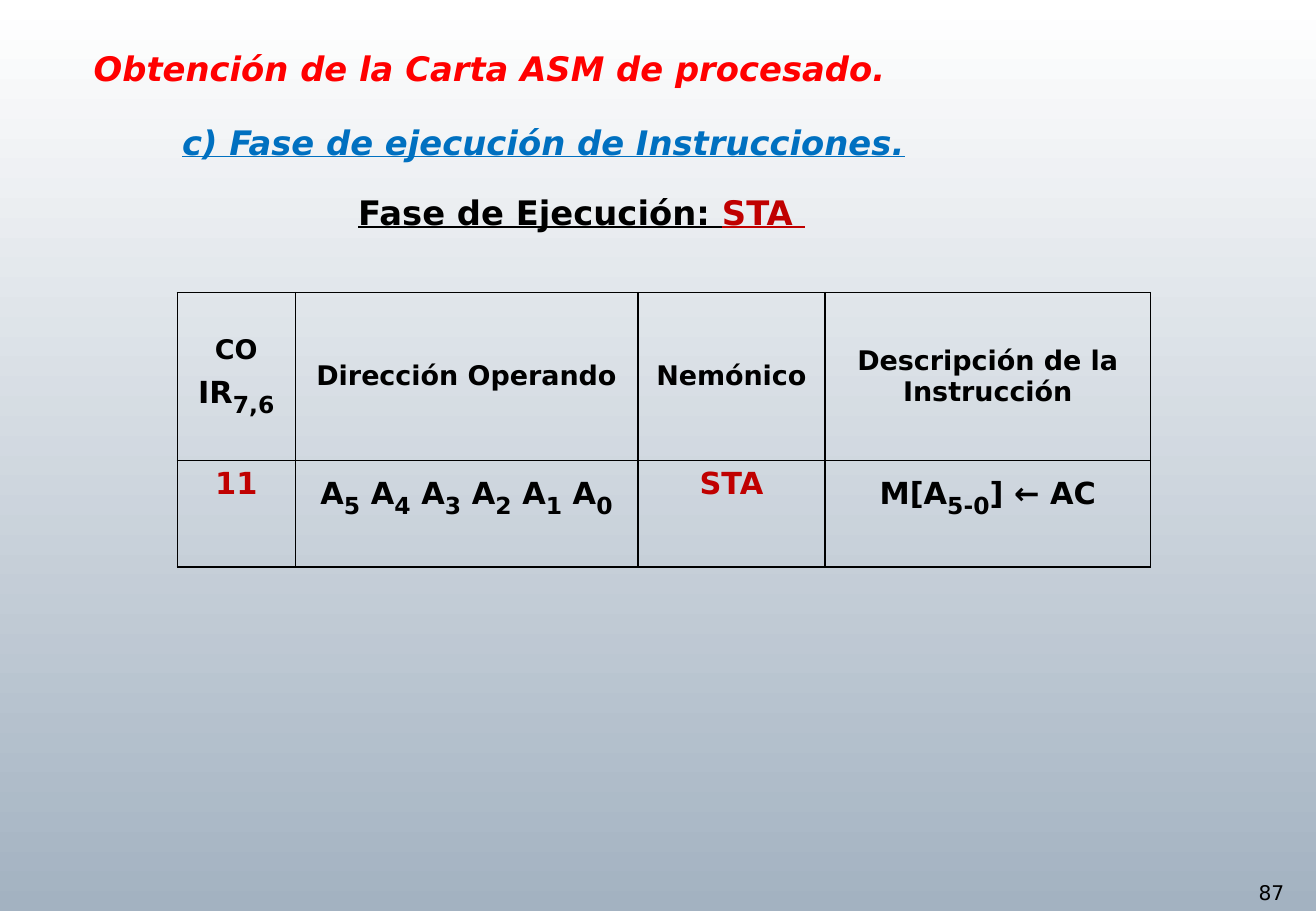
"""Build the slide on the execution phase of the STA instruction."""
from dataclasses import dataclass

from lxml import etree
from pptx import Presentation
from pptx.dml.color import RGBColor
from pptx.enum import text as txt
from pptx.oxml import ns
from pptx.util import Inches, Pt


@dataclass(frozen=True)
class Theme:
    font: str = "DejaVu Sans"
    black: str = "000000"
    red: str = "FF0000"
    blue: str = "0070C0"
    crimson: str = "C00000"
    sky_top: str = "FFFFFF"
    sky_bottom: str = "A3B2C1"
    heading: int = 20
    label: int = 16
    code: int = 18
    subscript: int = 24
    page: int = 12


THEME = Theme()


@dataclass(frozen=True)
class Run:
    text: str
    size: int = THEME.code
    color: str = THEME.black
    bold: bool = True
    italic: bool = False
    underline: bool = False
    baseline: int = 0


@dataclass(frozen=True)
class Box:
    left: float
    top: float
    width: float
    height: float
    runs: list[Run]
    wrap: bool = False

    def frame(self) -> tuple:
        return tuple(map(Inches, (self.left, self.top, self.width, self.height)))


def sub(digits: str) -> Run:
    """Return a subscript run."""
    return Run(digits, THEME.subscript, baseline=-25000)


def label(words: str) -> list[list[Run]]:
    """Return a column heading of one paragraph."""
    return [[Run(words, THEME.label)]]


def write(paragraph, runs: list[Run], align=txt.PP_ALIGN.LEFT) -> None:
    """Add formatted runs to a paragraph."""
    paragraph.alignment = align
    for item in runs:
        run = paragraph.add_run()
        run.text = item.text
        font = run.font
        font.name, font.size = THEME.font, Pt(item.size)
        font.bold, font.italic = item.bold, item.italic
        font.underline = item.underline
        font.color.rgb = RGBColor.from_string(item.color)
        if item.baseline:
            font._element.set("baseline", str(item.baseline))


def fill_frame(shape, box: Box) -> None:
    """Place a text shape and write its line."""
    shape.left, shape.top, shape.width, shape.height = box.frame()
    frame = shape.text_frame
    frame.word_wrap = box.wrap
    frame.auto_size = txt.MSO_AUTO_SIZE.SHAPE_TO_FIT_TEXT
    frame.vertical_anchor = txt.MSO_ANCHOR.TOP
    write(frame.paragraphs[0], box.runs)


def draw_borders(cell) -> None:
    """Outline a cell with thin black lines."""
    properties = cell._tc.get_or_add_tcPr()
    for index, side in enumerate(("lnL", "lnR", "lnT", "lnB")):
        line = etree.Element(ns.qn(f"a:{side}"), w=str(Pt(1)))
        solid = etree.SubElement(line, ns.qn("a:solidFill"))
        etree.SubElement(solid, ns.qn("a:srgbClr"), val=THEME.black)
        properties.insert(index, line)


def fill_cell(cell, paragraphs: list[list[Run]], anchor) -> None:
    """Format a table cell and write its paragraphs."""
    cell.fill.background()
    cell.vertical_anchor = anchor
    draw_borders(cell)
    frame = cell.text_frame
    for index, runs in enumerate(paragraphs):
        paragraph = frame.add_paragraph() if index else frame.paragraphs[0]
        write(paragraph, runs, txt.PP_ALIGN.CENTER)


def add_instruction_table(slide) -> None:
    """Add the table that describes the STA instruction."""
    widths, heights = (0.97, 2.82, 1.54, 2.68), (1.38, 0.88)
    address = [run for bit in range(5, -1, -1)
               for run in (Run("A" if bit == 5 else " A"), sub(str(bit)))]
    headings = [
        [[Run("CO", THEME.label)], [Run("IR"), sub("7,6")]],
        label("Dirección Operando"),
        label("Nemónico"),
        label("Descripción de la Instrucción"),
    ]
    instruction = [
        [[Run("11", color=THEME.crimson)]],
        [address],
        [[Run("STA", color=THEME.crimson)]],
        [[Run("M[A"), sub("5-0"), Run("] ← AC")]],
    ]
    table = slide.shapes.add_table(
        len(heights), len(widths), Inches(1.46), Inches(2.41),
        Inches(sum(widths)), Inches(sum(heights))).table
    table.first_row = table.horz_banding = False
    for column, width in zip(table.columns, widths):
        column.width = Inches(width)
    anchors = (txt.MSO_ANCHOR.MIDDLE, txt.MSO_ANCHOR.TOP)
    for row, height, contents, anchor in zip(
            table.rows, heights, (headings, instruction), anchors):
        row.height = Inches(height)
        for cell, paragraphs in zip(row.cells, contents):
            fill_cell(cell, paragraphs, anchor)


def paint_background(slide) -> None:
    """Shade the slide from top to bottom."""
    fill = slide.background.fill
    fill.gradient()
    fill.gradient_angle = 270
    for stop, color in zip(fill.gradient_stops, (THEME.sky_top, THEME.sky_bottom)):
        stop.color.rgb = RGBColor.from_string(color)


def main() -> None:
    """Assemble and save the slide."""
    deck = Presentation()
    deck.slide_width, deck.slide_height = Inches(10.83), Inches(7.5)
    slide = deck.slides.add_slide(deck.slide_layouts[5])
    paint_background(slide)

    heading = Box(0.67, 0.34, 7.98, 0.44, [
        Run("Obtención de la Carta ASM de procesado.", THEME.heading,
            THEME.red, italic=True)], wrap=True)
    section = Box(1.4, 0.95, 6.64, 0.44, [
        Run("c) Fase de ejecución de Instrucciones.", THEME.heading,
            THEME.blue, italic=True, underline=True)], wrap=True)
    phase = Box(2.85, 1.53, 4.07, 0.44, [
        Run("Fase de Ejecución: ", THEME.heading, underline=True),
        Run("STA ", THEME.heading, THEME.crimson, underline=True)])
    page_number = Box(10.26, 7.2, 0.57, 0.3, [
        Run("87", THEME.page, bold=False)])

    fill_frame(slide.shapes.title, heading)
    for box in (section, phase, page_number):
        fill_frame(slide.shapes.add_textbox(*box.frame()), box)
    add_instruction_table(slide)
    deck.save("out.pptx")


main()
